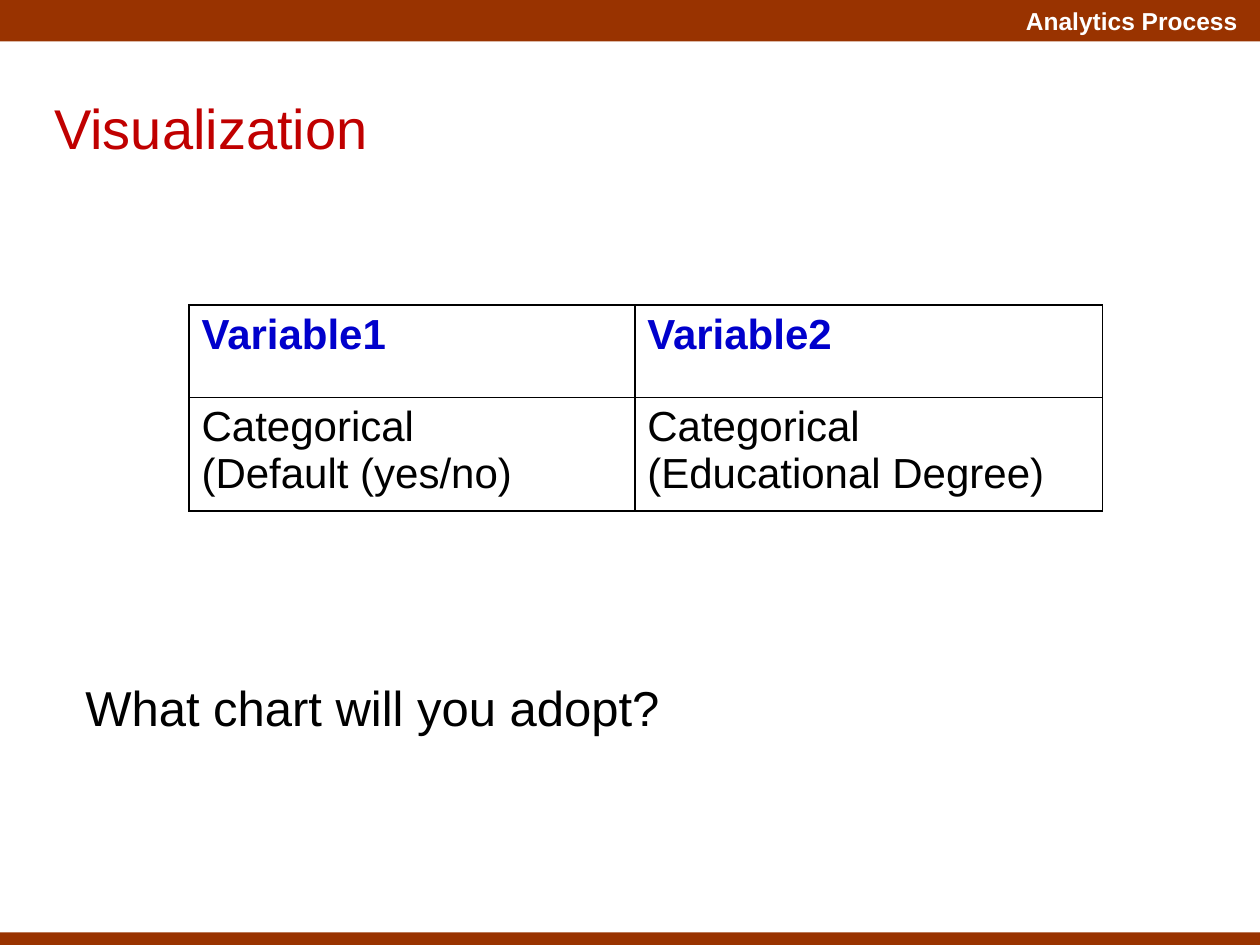
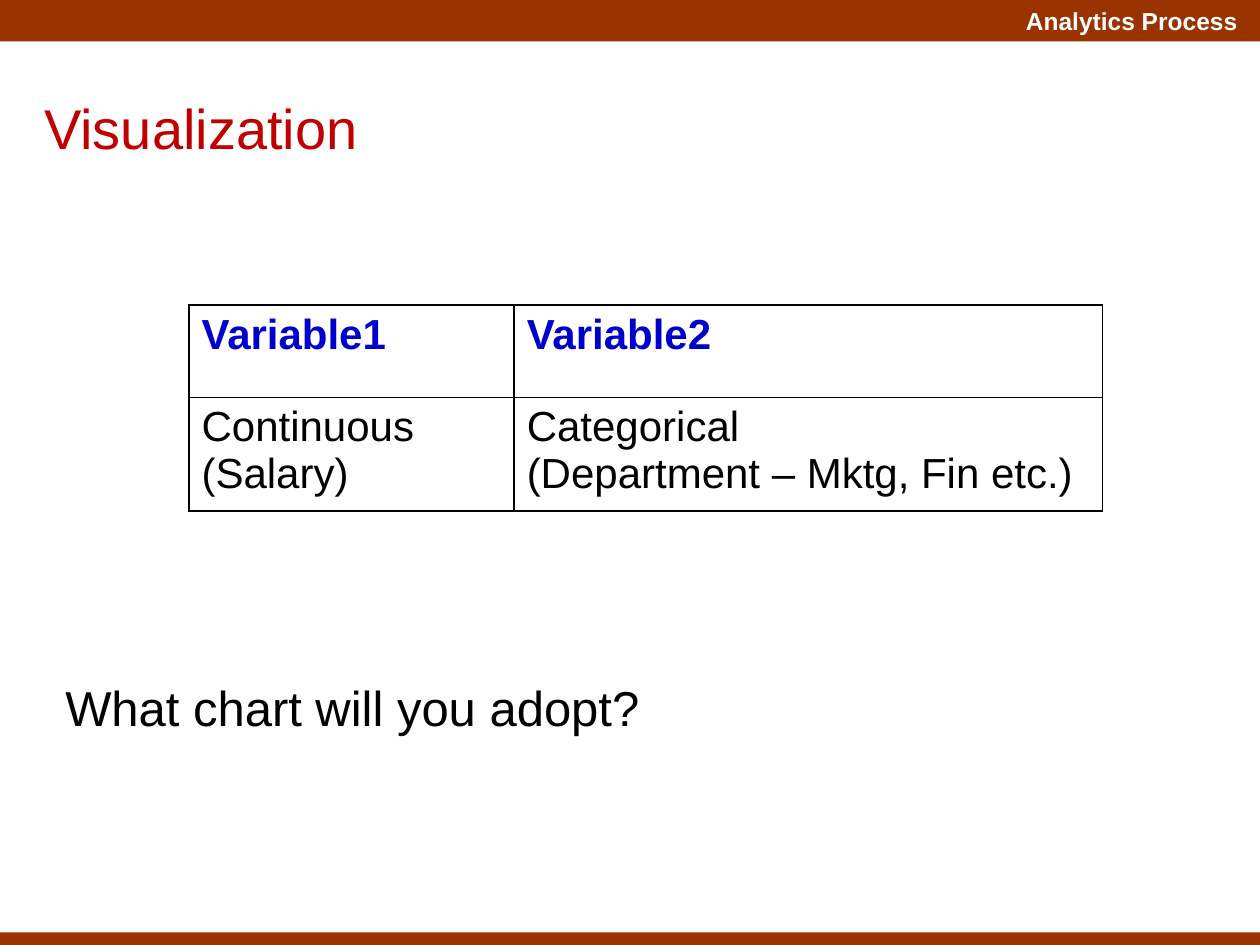
from dataclasses import dataclass

import pptx
import pptx.util
import pptx.dml.color
import pptx.enum.shapes
import pptx.enum.text
import pptx.oxml
import pptx.oxml.ns

Inches = pptx.util.Inches
Pt = pptx.util.Pt
ALIGN = pptx.enum.text.PP_ALIGN
W, H = 10, 7.5


@dataclass(frozen=True)
class Theme:
    font: str = "Arial"
    band: str = "993300"
    white: str = "FFFFFF"
    title: str = "C00000"
    heading: str = "0000CC"
    text: str = "000000"
    band_size: int = 14
    title_size: int = 32
    cell_size: int = 24
    question_size: int = 28


THEME = Theme()
HEADER_BOX = (0, 0, W, 0.33)
FOOTER_BOX = (0, H - 0.1, W, 0.1)
TABLE_BOX = (1.5, 2.42, 7.25, 1.63)
HEADER_ROW_SHARE = 0.45
HEADINGS = ("Variable1", "Variable2")

SLIDES = [
    dict(title_left=0.33, question_left=0.58, split=0.488,
         variables=("Categorical\n(Default (yes/no)",
                    "Categorical\n(Educational Degree)")),
    dict(title_left=0.25, question_left=0.42, split=0.356,
         variables=("Continuous\n(Salary)",
                    "Categorical\n(Department – Mktg, Fin etc.)")),
]


def rgb(color):
    return pptx.dml.color.RGBColor.from_string(color)


def place(sp, box):
    sp.left, sp.top, sp.width, sp.height = map(Inches, box)


def write(tf, text, size, color, bold=False, align=ALIGN.LEFT):
    tf.text = text
    tf.word_wrap = True
    tf.vertical_anchor = pptx.enum.text.MSO_ANCHOR.TOP
    for p in tf.paragraphs:
        p.alignment = align
        p.font.name = THEME.font
        p.font.size = Pt(size)
        p.font.bold = bold
        p.font.color.rgb = rgb(color)


def add_band(slide, box):
    sp = slide.shapes.add_shape(pptx.enum.shapes.MSO_SHAPE.RECTANGLE, *map(Inches, box))
    sp.shadow.inherit = False
    sp.fill.solid()
    sp.fill.fore_color.rgb = rgb(THEME.band)
    sp.line.fill.background()


def add_text(slide, box, *style, **options):
    sp = slide.shapes.add_textbox(*map(Inches, box))
    write(sp.text_frame, *style, **options)


def add_frame(slide):
    add_band(slide, HEADER_BOX)
    left, top, width, height = HEADER_BOX
    label_box = (left + 0.574 * width, top, 0.418 * width, height)
    add_text(slide, label_box, "Analytics Process", THEME.band_size, THEME.white,
             bold=True, align=ALIGN.RIGHT)
    add_band(slide, FOOTER_BOX)


def set_title(slide, box, text):
    title = slide.shapes.title
    place(title, box)
    write(title.text_frame, text, THEME.title_size, THEME.title)
    title.text_frame.auto_size = pptx.enum.text.MSO_AUTO_SIZE.NONE


def border_cell(cell):
    tc_pr = cell._tc.get_or_add_tcPr()
    for i, side in enumerate(("lnL", "lnR", "lnT", "lnB")):
        tc_pr.insert(i, pptx.oxml.parse_xml(
            f'<a:{side} {pptx.oxml.ns.nsdecls("a")} w="{Pt(1)}"><a:solidFill>'
            f'<a:srgbClr val="{THEME.text}"/></a:solidFill></a:{side}>'))


def add_variables(slide, box, split, variables):
    width, height = box[2:]
    table = slide.shapes.add_table(2, 2, *map(Inches, box)).table
    table.first_row = table.horz_banding = False
    for i, share in enumerate((split, 1 - split)):
        table.columns[i].width = Inches(width * share)
    for i, share in enumerate((HEADER_ROW_SHARE, 1 - HEADER_ROW_SHARE)):
        table.rows[i].height = Inches(height * share)
    for r, texts in enumerate((HEADINGS, variables)):
        for c, text in enumerate(texts):
            cell = table.cell(r, c)
            cell.fill.background()
            border_cell(cell)
            color = THEME.text if r else THEME.heading
            write(cell.text_frame, text, THEME.cell_size, color, bold=r == 0)


def add_question_slide(prs, title_left, question_left, split, variables):
    slide = prs.slides.add_slide(prs.slide_layouts[5])
    add_frame(slide)
    add_variables(slide, TABLE_BOX, split, variables)
    set_title(slide, (title_left, 0.69, 0.7 * W, 0.64), "Visualization")
    add_text(slide, (question_left, 5.33, 0.8 * W, 0.1 * H),
             "What chart will you adopt?", THEME.question_size, THEME.text)


def main():
    prs = pptx.Presentation()
    prs.slide_width, prs.slide_height = Inches(W), Inches(H)
    for content in SLIDES:
        add_question_slide(prs, **content)
    prs.save("out.pptx")


if __name__ == "__main__":
    main()
